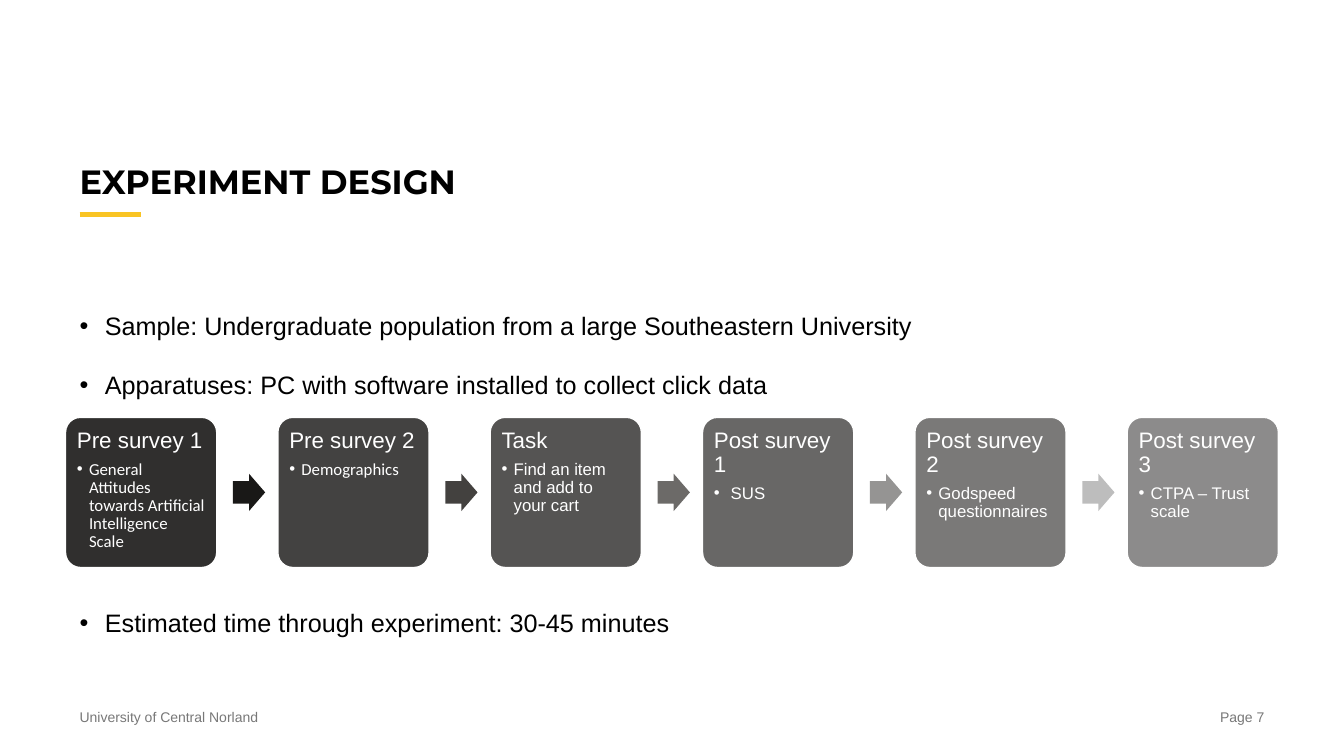
import pptx
import pptx.util
import pptx.dml.color
import pptx.enum.shapes
import pptx.enum.text
import pptx.oxml
import pptx.oxml.ns

Inches = pptx.util.Inches
Pt = pptx.util.Pt
Align = pptx.enum.text.PP_ALIGN
Anchor = pptx.enum.text.MSO_ANCHOR
Preset = pptx.enum.shapes.MSO_SHAPE

COLORS = {
    "text": "000000",
    "footer": "787878",
    "accent": "F9C423",
    "card": "1A1918",
    "white": "FFFFFF",
}
ARROW_COLORS = ["191817", "43413F", "6C6A68", "959493", "BDBDBD"]

LEFT, CONTENT_WIDTH = 0.79, 11.75
CARD_LEFT, CARD_TOP, CARD_WIDTH, CARD_HEIGHT = 0.65, 4.14, 1.5, 1.49
CARD_PITCH = (11.18 - CARD_LEFT) / 5
ARROW_OFFSET, ARROW_TOP, ARROW_WIDTH, ARROW_HEIGHT = 1.66, 4.7, 0.32, 0.37

STEPS = [
    ("Pre survey 1", "General Attitudes towards Artificial Intelligence Scale", "Calibri"),
    ("Pre survey 2", "Demographics", "Calibri"),
    ("Task", "Find an item and add to your cart", "Arial"),
    ("Post survey 1", " SUS", "Arial"),
    ("Post survey 2", "Godspeed questionnaires", "Arial"),
    ("Post survey 3", "CTPA – Trust scale", "Arial"),
]
# Each bullet has its text and the space before it in points
BULLETS = [
    ("Sample: Undergraduate population from a large Southeastern University", 0),
    ("Apparatuses: PC with software installed to collect click data", 0),
    ("Estimated time through experiment: 30-45 minutes", 127.5),
]


def rgb(hex_color):
    return pptx.dml.color.RGBColor.from_string(hex_color)


def place(left, top, width, height):
    return [Inches(value) for value in (left, top, width, height)]


def prepare_frame(frame, margin=0, anchor=Anchor.TOP):
    frame.word_wrap = True
    frame.auto_size = pptx.enum.text.MSO_AUTO_SIZE.NONE
    frame.vertical_anchor = anchor
    frame.margin_left = frame.margin_right = Inches(margin)
    frame.margin_top = frame.margin_bottom = Inches(margin)


def add_run(paragraph, text, size, color, font="Arial", bold=False):
    run = paragraph.add_run()
    run.text = text
    run.font.size = Pt(size)
    run.font.name = font
    run.font.bold = bold
    run.font.color.rgb = rgb(color)


def format_paragraph(paragraph, line_spacing, space_after):
    paragraph.alignment = Align.LEFT
    paragraph.line_spacing = line_spacing
    paragraph.space_after = Pt(space_after)


def set_bullet(paragraph, indent):
    """Give the paragraph a round bullet with a hanging indent in inches."""
    properties = paragraph._p.get_or_add_pPr()
    properties.set("marL", str(Inches(indent)))
    properties.set("indent", str(-Inches(indent)))
    namespace = pptx.oxml.ns.nsdecls("a")
    properties.append(pptx.oxml.parse_xml(f'<a:buFont {namespace} typeface="Arial"/>'))
    properties.append(pptx.oxml.parse_xml(f'<a:buChar {namespace} char="•"/>'))


def set_opacity(shape, percent):
    color = shape.fill._xPr.find(".//" + pptx.oxml.ns.qn("a:srgbClr"))
    namespace = pptx.oxml.ns.nsdecls("a")
    color.append(pptx.oxml.parse_xml(f'<a:alpha {namespace} val="{percent * 1000}"/>'))


def add_filled_shape(slide, preset, box, color, adjustments):
    shape = slide.shapes.add_shape(preset, *place(*box))
    shape.shadow.inherit = False
    shape.fill.solid()
    shape.fill.fore_color.rgb = rgb(color)
    for index, value in enumerate(adjustments):
        shape.adjustments[index] = value
    return shape


def add_footer(slide, left, text, alignment):
    frame = slide.shapes.add_textbox(*place(left, 7.03, 2.24, 0.17)).text_frame
    prepare_frame(frame)
    frame.paragraphs[0].alignment = alignment
    add_run(frame.paragraphs[0], text, 10, COLORS["footer"])


def add_accent_line(slide):
    line = slide.shapes.add_connector(
        pptx.enum.shapes.MSO_CONNECTOR.STRAIGHT,
        Inches(LEFT), Inches(2.13), Inches(1.4), Inches(2.13))
    line.line.color.rgb = rgb(COLORS["accent"])
    line.line.width = Pt(4)
    namespace = pptx.oxml.ns.nsdecls("a")
    line._element.spPr.append(pptx.oxml.parse_xml(f"<a:effectLst {namespace}/>"))


def set_title(slide, text):
    title = slide.shapes.title
    title.left, title.top, title.width, title.height = place(LEFT, 0.79, CONTENT_WIDTH, 1.21)
    prepare_frame(title.text_frame, anchor=Anchor.BOTTOM)
    paragraph = title.text_frame.paragraphs[0]
    paragraph.alignment = Align.LEFT
    add_run(paragraph, text, 24, COLORS["text"], "Montserrat", True)


def add_bullets(slide):
    frame = slide.shapes.add_textbox(*place(LEFT, 2.93, CONTENT_WIDTH, 4)).text_frame
    prepare_frame(frame)
    for index, (text, space_before) in enumerate(BULLETS):
        paragraph = frame.add_paragraph() if index else frame.paragraphs[0]
        format_paragraph(paragraph, 1.5, 10)
        paragraph.space_before = Pt(space_before)
        set_bullet(paragraph, 0.25)
        add_run(paragraph, text, 18, COLORS["text"])


def add_card(slide, left, opacity, heading, detail, detail_font):
    card = add_filled_shape(slide, Preset.ROUNDED_RECTANGLE,
                            (left, CARD_TOP, CARD_WIDTH, CARD_HEIGHT), COLORS["card"], [0.1])
    set_opacity(card, opacity)
    card.line.color.rgb = rgb(COLORS["white"])
    card.line.width = Pt(1)
    frame = card.text_frame
    prepare_frame(frame, 0.07)
    format_paragraph(frame.paragraphs[0], 0.9, 5.6)
    add_run(frame.paragraphs[0], heading, 16, COLORS["white"])
    paragraph = frame.add_paragraph()
    paragraph.level = 1
    format_paragraph(paragraph, 0.9, 1.8)
    set_bullet(paragraph, 0.12)
    add_run(paragraph, detail, 12, COLORS["white"], detail_font)


def add_process(slide):
    for index, step in enumerate(STEPS):
        left = CARD_LEFT + index * CARD_PITCH
        add_card(slide, left, 90 - 8 * index, *step)
        if index < len(ARROW_COLORS):
            arrow = add_filled_shape(
                slide, Preset.RIGHT_ARROW,
                (left + ARROW_OFFSET, ARROW_TOP, ARROW_WIDTH, ARROW_HEIGHT),
                ARROW_COLORS[index], [0.6, 0.5])
            arrow.line.fill.background()


def main():
    presentation = pptx.Presentation()
    presentation.slide_width = Inches(13.33)
    presentation.slide_height = Inches(7.5)
    slide = presentation.slides.add_slide(presentation.slide_layouts[5])
    set_title(slide, "EXPERIMENT DESIGN")
    add_accent_line(slide)
    add_bullets(slide)
    add_process(slide)
    add_footer(slide, LEFT, "University of Central Norland", Align.LEFT)
    add_footer(slide, 10.3, "Page 7", Align.RIGHT)
    presentation.save("out.pptx")


if __name__ == "__main__":
    main()
